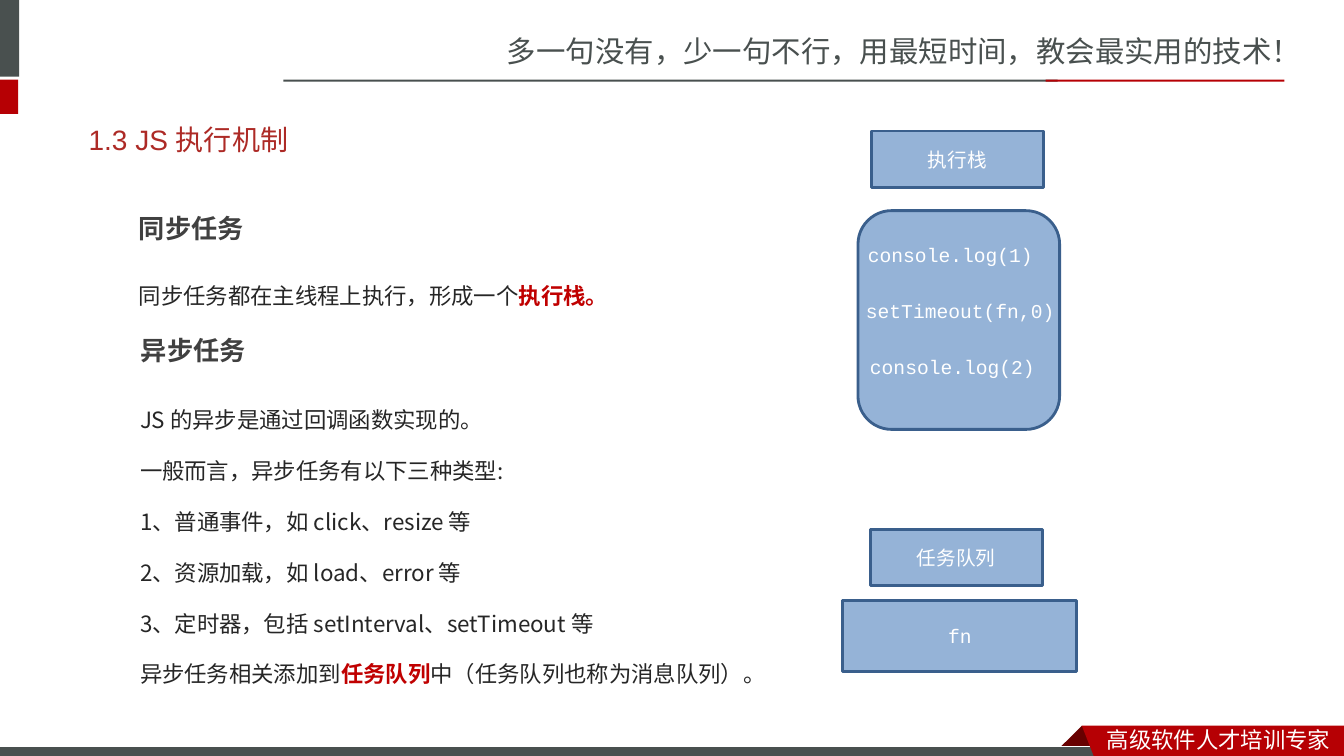
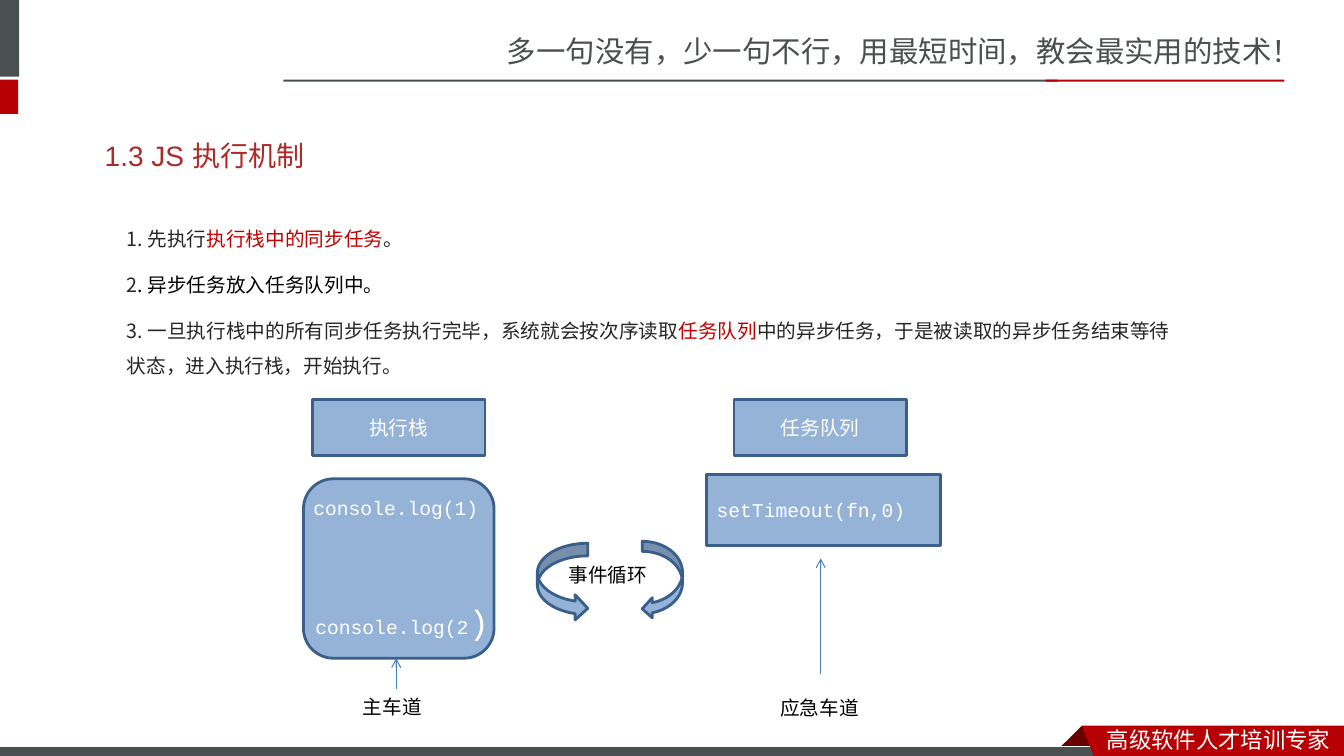
from lxml.etree import SubElement
from pptx import Presentation
from pptx.dml.color import RGBColor
from pptx.enum.shapes import MSO_CONNECTOR, MSO_SHAPE
from pptx.enum.text import MSO_ANCHOR, PP_ALIGN
from pptx.oxml.ns import qn
from pptx.util import Inches, Pt

GRAY = RGBColor(0x49, 0x50, 0x4F)
BAND_RED = RGBColor(0xB6, 0x00, 0x04)
DARK_RED = RGBColor(0x68, 0x00, 0x00)
TITLE_RED = RGBColor(0xAD, 0x2A, 0x26)
ACCENT_RED = RGBColor(0xC0, 0x00, 0x00)
HEADING = RGBColor(0x40, 0x40, 0x40)
BODY = RGBColor(0x26, 0x26, 0x26)
BLACK = RGBColor(0x00, 0x00, 0x00)
WHITE = RGBColor(0xFF, 0xFF, 0xFF)
BLUE = RGBColor(0x95, 0xB3, 0xD7)
BLUE_EDGE = RGBColor(0x3A, 0x5F, 0x8C)
ARROW_BLUE = RGBColor(0x4B, 0x7E, 0xBC)
SANS = "Noto Sans CJK SC"
BODY_FONT = "Noto Sans CJK JP"
MONO = "Courier New"
TITLE_FONT = "Arial"


def paint(shape, fill, line=None, line_width=2):
    shape.shadow.inherit = False
    shape.fill.solid()
    shape.fill.fore_color.rgb = fill
    if line is None:
        shape.line.fill.background()
    else:
        shape.line.color.rgb = line
        shape.line.width = Pt(line_width)
    return shape


def write(shape, paragraphs, font_name, size, color, bold=False, wrap=True,
          align=PP_ALIGN.LEFT, spacing=None, before=None):
    frame = shape.text_frame
    frame.word_wrap = wrap
    for index, runs in enumerate(paragraphs):
        paragraph = frame.add_paragraph() if index else frame.paragraphs[0]
        for text in runs:
            paragraph.add_run().text = text
        paragraph.alignment = align
        paragraph.line_spacing = spacing
        paragraph.space_before = before
        font = paragraph.font
        font.size = Pt(size)
        font.bold = bold
        font.color.rgb = color
        font.name = font_name
        properties = paragraph._p.pPr.find(qn("a:defRPr"))
        SubElement(properties, qn("a:ea")).set("typeface", font_name)
    return frame


presentation = Presentation()
presentation.slide_width = Inches(13.33)
presentation.slide_height = Inches(7.5)
blank = presentation.slide_layouts[6]
task_slide = presentation.slides.add_slide(blank)
loop_slide = presentation.slides.add_slide(blank)

bands = [
    (-0.06, 0, 0.25, 0.76, GRAY),
    (-0.06, 0.79, 0.24, 0.34, BAND_RED),
    (2.81, 0.79, 7.68, 0.02, GRAY),
    (10.37, 0.79, 2.37, 0.02, BAND_RED),
]
ribbon_fold = [(10.73, 7.2), (10.95, 7.42), (10.94, 7.43), (10.52, 7.43), (10.51, 7.42)]
ribbon = [(10.73, 7.2), (13.33, 7.2), (13.33, 7.54), (10.86, 7.53)]

for slide, title_left, title_top in [(task_slide, 0.78, 1.1), (loop_slide, 0.94, 1.26)]:
    shapes = slide.shapes
    slogan = shapes.add_textbox(Inches(4.93), Inches(0.28), Inches(8.41), Inches(0.47))
    write(slogan, [["多一句没有，少一句不行，用最短时间，教会最实用的技术！"]], SANS, 21, GRAY)
    for left, top, width, height, color in bands:
        band = shapes.add_shape(MSO_SHAPE.RECTANGLE, Inches(left), Inches(top),
                                Inches(width), Inches(height))
        paint(band, color)
    for points, color in [(ribbon_fold, DARK_RED), (ribbon, BAND_RED)]:
        corners = [(Inches(x), Inches(y)) for x, y in points]
        builder = shapes.build_freeform(*corners[0])
        builder.add_line_segments(corners[1:], close=True)
        paint(builder.convert_to_shape(), color)
        if points is ribbon_fold:
            footer = shapes.add_shape(MSO_SHAPE.RECTANGLE, Inches(-0.01), Inches(7.41),
                                      Inches(11), Inches(0.12))
            paint(footer, GRAY, WHITE, 0.75)
    motto = shapes.add_textbox(Inches(10.88), Inches(7.15), Inches(2.45), Inches(0.37))
    write(motto, [["高级软件人才培训专家"]], SANS, 16, WHITE)
    title = shapes.add_textbox(Inches(title_left), Inches(title_top), Inches(11.75), Inches(0.57))
    write(title, [["1.3 JS 执行机制"]], TITLE_FONT, 20, TITLE_RED)
    title.text_frame.vertical_anchor = MSO_ANCHOR.MIDDLE

for text, left, top in [("同步任务", 1.28, 2.09), ("异步任务", 1.3, 3.3)]:
    heading = task_slide.shapes.add_textbox(Inches(left), Inches(top), Inches(4.25), Inches(0.79))
    write(heading, [[text]], SANS, 18.7, HEADING, bold=True, spacing=0.9, before=Pt(7.5))

sync_box = task_slide.shapes.add_textbox(Inches(1.28), Inches(2.62), Inches(5.37), Inches(0.69))
sync_text = write(sync_box, [["同步任务都在主线程上执行，形成一个", "执行栈。"]],
                  BODY_FONT, 16, BODY, spacing=1.5, before=Pt(7.5))
async_box = task_slide.shapes.add_textbox(Inches(1.29), Inches(3.85), Inches(6.98), Inches(3.39))
async_text = write(async_box, [
    ["JS 的异步是通过回调函数实现的。"],
    ["一般而言，异步任务有以下三种类型:"],
    ["1、普通事件，如 click、resize 等"],
    ["2、资源加载，如 load、error 等"],
    ["3、定时器，包括 setInterval、setTimeout 等"],
    ["异步任务相关添加到", "任务队列", "中（任务队列也称为消息队列）。"],
], BODY_FONT, 16, BODY, spacing=1.5, before=Pt(7.5))
for paragraph in (sync_text.paragraphs[0], async_text.paragraphs[-1]):
    paragraph.runs[1].font.color.rgb = ACCENT_RED
    paragraph.runs[1].font.bold = True

steps_box = loop_slide.shapes.add_textbox(Inches(1.16), Inches(2.09), Inches(10.69), Inches(1.97))
steps = write(steps_box, [
    ["1. 先执行", "执行栈中的同步任务", "。"],
    ["2", ". 异步任务放入任务队列中。"],
    ["3. 一旦执行栈中的所有同步任务执行完毕，系统就会按次序读取", "任务队列",
     "中的异步任务，于是被读取的异步任务结束等待状态，进入执行栈，开始执行。"],
], BODY_FONT, 14, BODY, spacing=1.5, before=Pt(7.5))
for paragraph, color in zip(steps.paragraphs, (ACCENT_RED, BLACK, ACCENT_RED)):
    paragraph.runs[1].font.color.rgb = color

diagram_shapes = [
    (task_slide, MSO_SHAPE.ROUNDED_RECTANGLE, 8.51, 2.09, 2, 2.17),
    (loop_slide, MSO_SHAPE.ROUNDED_RECTANGLE, 3.01, 4.75, 1.89, 1.78),
    (loop_slide, MSO_SHAPE.CURVED_RIGHT_ARROW, 5.33, 5.39, 0.5, 0.77),
    (loop_slide, MSO_SHAPE.CURVED_LEFT_ARROW, 6.37, 5.37, 0.4, 0.77),
]
for slide, kind, left, top, width, height in diagram_shapes:
    shape = slide.shapes.add_shape(kind, Inches(left), Inches(top), Inches(width), Inches(height))
    paint(shape, BLUE, BLUE_EDGE)

for slide, text, left, top in [
    (task_slide, "执行栈", 8.64, 1.3),
    (task_slide, "任务队列", 8.63, 5.25),
    (loop_slide, "执行栈", 3.1, 3.96),
    (loop_slide, "任务队列", 7.28, 3.96),
]:
    name_box = slide.shapes.add_shape(MSO_SHAPE.FLOWCHART_PROCESS, Inches(left), Inches(top),
                                      Inches(1.71), Inches(0.56))
    paint(name_box, BLUE, BLUE_EDGE)
    write(name_box, [[text]], SANS, 14, WHITE, align=PP_ALIGN.CENTER)

for slide, text, left, top, align in [
    (task_slide, "fn", 8.36, 5.96, PP_ALIGN.CENTER),
    (loop_slide, "setTimeout(fn,0)", 7.01, 4.71, PP_ALIGN.LEFT),
]:
    queue_box = slide.shapes.add_shape(MSO_SHAPE.RECTANGLE, Inches(left), Inches(top),
                                       Inches(2.32), Inches(0.7))
    paint(queue_box, BLUE, BLUE_EDGE)
    write(queue_box, [[text]], MONO, 14, WHITE, align=align)

for slide, runs, left, top, width, font_name, color in [
    (task_slide, ["console.log(1)"], 8.51, 2.36, 1.85, MONO, WHITE),
    (task_slide, ["setTimeout(fn,0)"], 8.49, 2.92, 2.08, MONO, WHITE),
    (task_slide, ["console.log(2)"], 8.53, 3.47, 1.85, MONO, WHITE),
    (loop_slide, ["console.log(1)"], 3.01, 4.87, 1.85, MONO, WHITE),
    (loop_slide, ["console.log(2", ")"], 3.03, 5.91, 1.93, MONO, WHITE),
    (loop_slide, ["事件循环"], 5.54, 5.54, 0.99, SANS, BLACK),
    (loop_slide, ["主车道"], 3.5, 6.84, 0.79, SANS, BLACK),
    (loop_slide, ["应急车道"], 7.64, 6.85, 0.99, SANS, BLACK),
]:
    label = slide.shapes.add_textbox(Inches(left), Inches(top), Inches(width), Inches(0.34))
    frame = write(label, [runs], font_name, 14, color, wrap=False)
    for run in frame.paragraphs[0].runs[1:]:
        run.font.size = Pt(24)

for x, bottom, top in [(3.93, 6.84, 6.53), (8.14, 6.69, 5.54)]:
    lane_arrow = loop_slide.shapes.add_connector(MSO_CONNECTOR.STRAIGHT, Inches(x), Inches(bottom),
                                                 Inches(x), Inches(top))
    lane_arrow.line.color.rgb = ARROW_BLUE
    lane_arrow.line.width = Pt(0.75)
    properties = lane_arrow._element.spPr
    SubElement(properties.find(qn("a:ln")), qn("a:tailEnd")).set("type", "arrow")
    SubElement(properties, qn("a:effectLst"))

presentation.save("out.pptx")
